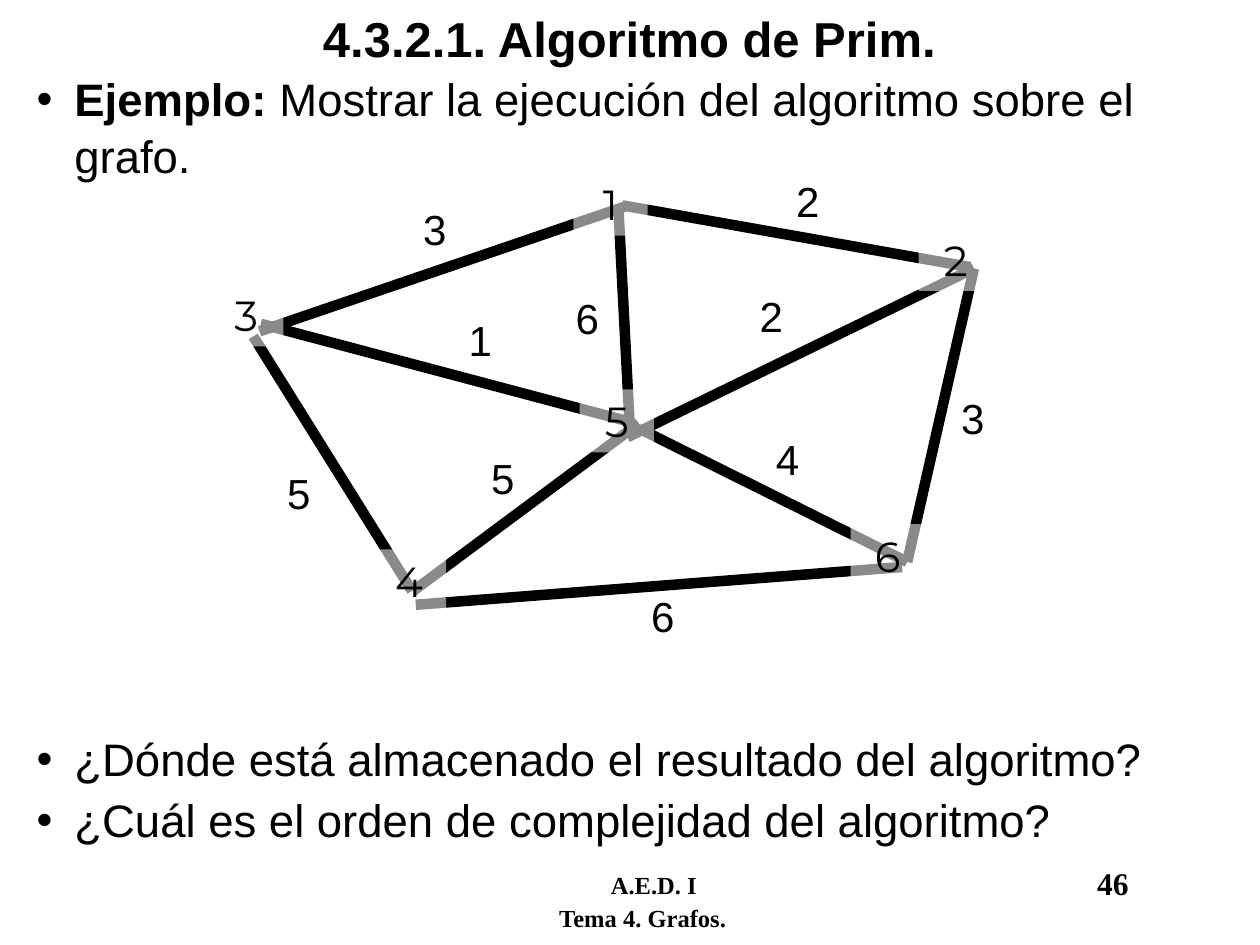
"""Build a slide with a weighted graph for Prim's algorithm."""
import pptx
import pptx.dml.color
import pptx.enum.shapes
import pptx.enum.text
import pptx.oxml.ns
import pptx.oxml.xmlchemy
import pptx.util

Inches, Pt = pptx.util.Inches, pptx.util.Pt
ALIGN, ANCHOR = pptx.enum.text.PP_ALIGN, pptx.enum.text.MSO_ANCHOR
COLOURS = {"ink": "000000", "veil": "FFFFFF"}
TITLE = "4.3.2.1. Algoritmo de Prim."
LEAD, EXAMPLE = "Ejemplo:", " Mostrar la ejecución del algoritmo sobre el grafo."
QUESTIONS = [
    ("¿Dónde está almacenado el resultado del algoritmo?", 312),
    ("¿Cuál es el orden de complejidad del algoritmo?", 2.6),
]
FOOTER = [("A.E.D. I", 1.13), ("Tema 4. Grafos.", 0.72)]
PAGE_NUMBER = "46"
EDGES = [
    ((2.06, 2.63), (4.96, 1.64), "3", (3.26, 1.57)),
    ((4.94, 1.63), (7.7, 2.12), "2", (6.22, 1.34)),
    ((7.73, 2.13), (4.98, 3.47), "2", (5.93, 2.26)),
    ((4.91, 1.69), (5, 3.43), "6", (4.47, 2.27)),
    ((2.01, 2.67), (3.27, 4.69), "5", (2.18, 3.66)),
    ((3.28, 4.69), (5.07, 3.36), "5", (3.8, 3.54)),
    ((5.07, 3.4), (7.2, 4.46), "4", (6.06, 3.39)),
    ((3.3, 4.8), (7.16, 4.5), "6", (5.07, 4.64)),
    ((7.2, 4.46), (7.73, 2.13), "3", (7.53, 3.07)),
    ((2.07, 2.57), (4.97, 3.34), "1", (3.62, 2.45)),
]
NODES = [(4.55, 1.37), (7.29, 1.81), (1.66, 2.25), (2.95, 4.36), (4.6, 3.09), (6.75, 4.16)]
LABEL_SIZE, NODE_SIZE = (0.48, 0.5), (0.59, 0.5)


def rgb(name):
    """Return a named colour."""
    return pptx.dml.color.RGBColor.from_string(COLOURS[name])


def style(para, size, face="Arial", bold=False):
    """Format every run of a paragraph."""
    for span in para.runs:
        span.font.size, span.font.name, span.font.bold = Pt(size), face, bold
        span.font.color.rgb = rgb("ink")


def indent(para, left, first=0):
    """Set the left margin and first-line indent of a paragraph."""
    properties = para._p.get_or_add_pPr()
    properties.set("marL", str(Inches(left)))
    properties.set("indent", str(Inches(first)))


def place(shape, left, top, width, height):
    """Move and size a placeholder."""
    shape.left, shape.top = Inches(left), Inches(top)
    shape.width, shape.height = Inches(width), Inches(height)
    shape.text_frame.auto_size = pptx.enum.text.MSO_AUTO_SIZE.NONE


def add_text(page, spot, size, text):
    """Add a wrapping text box."""
    box = page.shapes.add_textbox(*map(Inches, spot + size))
    box.text_frame.word_wrap = True
    box.text_frame.text = text
    return box.text_frame


def add_edge(page, start, end):
    """Add a thick graph edge."""
    edge = page.shapes.add_connector(
        pptx.enum.shapes.MSO_CONNECTOR.STRAIGHT, *map(Inches, start + end))
    edge.line.color.rgb, edge.line.width = rgb("ink"), Pt(6)
    edge._element.spPr.append(pptx.oxml.xmlchemy.OxmlElement("a:effectLst"))


def add_node(page, spot, text):
    """Add a translucent node with its number."""
    node = page.shapes.add_shape(
        pptx.enum.shapes.MSO_SHAPE.RECTANGLE, *map(Inches, spot + NODE_SIZE))
    node.shadow.inherit = False
    node.line.fill.background()
    node.fill.solid()
    node.fill.fore_color.rgb = rgb("veil")
    alpha = pptx.oxml.xmlchemy.OxmlElement("a:alpha")
    alpha.set("val", "54000")
    node._element.spPr.find(".//" + pptx.oxml.ns.qn("a:srgbClr")).append(alpha)
    node.text_frame.text = text
    node.text_frame.vertical_anchor = ANCHOR.MIDDLE
    node.text_frame.paragraphs[0].alignment = ALIGN.CENTER
    style(node.text_frame.paragraphs[0], 24, "Montserrat")


def add_body(frame):
    """Fill the bulleted list around the graph."""
    frame.text = "\n".join([LEAD] + [text for text, gap in QUESTIONS])
    frame.paragraphs[0].add_run().text = EXAMPLE
    for para, gap in zip(frame.paragraphs, [0] + [gap for text, gap in QUESTIONS]):
        indent(para, 0.3, -0.3)
        para.space_before, para.line_spacing = Pt(gap), 1.04
        style(para, 26)
    frame.paragraphs[0].runs[0].font.bold = True


def main():
    """Compose and save the slide."""
    deck = pptx.Presentation()
    deck.slide_width, deck.slide_height = Inches(10), Inches(7.5)
    page = deck.slides.add_slide(deck.slide_layouts[1])
    title, body = page.placeholders
    place(title, 0.33, 0, 9.33, 0.61)
    title.text_frame.text = TITLE
    title.text_frame.vertical_anchor = ANCHOR.MIDDLE
    title.text_frame.paragraphs[0].alignment = ALIGN.CENTER
    style(title.text_frame.paragraphs[0], 28, bold=True)
    place(body, 0.19, 0.5, 9.4, 6.34)
    add_body(body.text_frame)

    for start, end, weight, spot in EDGES:
        add_edge(page, start, end)
    for start, end, weight, spot in EDGES:
        style(add_text(page, spot, LABEL_SIZE, weight).paragraphs[0], 24)
    for number, spot in enumerate(NODES, 1):
        add_node(page, spot, str(number))

    footer = add_text(page, (3.62, 6.86), (4.5, 0.5), "\n".join(text for text, left in FOOTER))
    for para, (text, left) in zip(footer.paragraphs, FOOTER):
        indent(para, left)
        style(para, 14, "Times New Roman", True)
    footer.paragraphs[1].space_before = Pt(1.5)
    number = add_text(page, (8.61, 6.81), (0.8, 0.4), PAGE_NUMBER)
    style(number.paragraphs[0], 18, "Times New Roman", True)
    deck.save("out.pptx")


if __name__ == "__main__":
    main()
